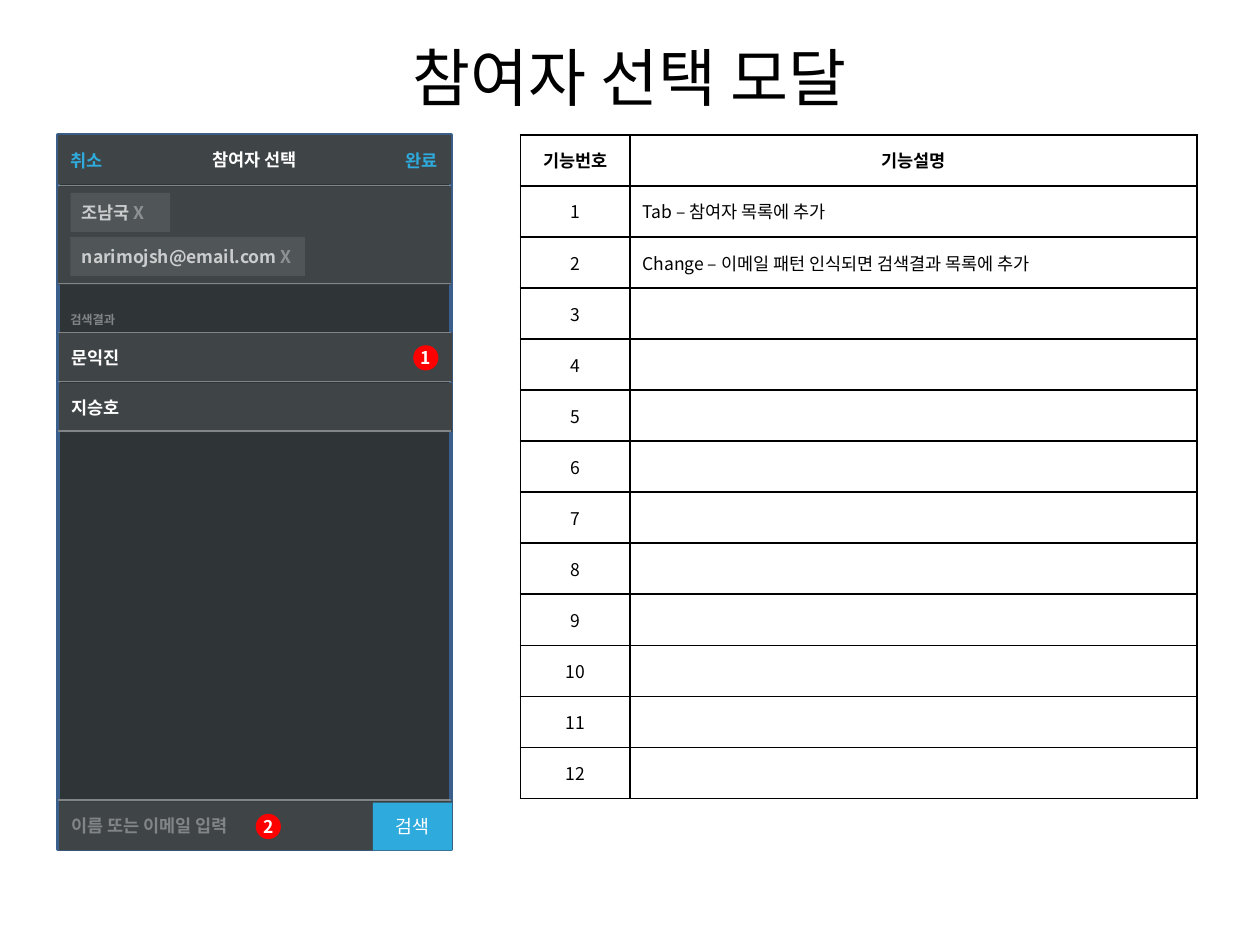
from dataclasses import dataclass

from lxml import etree
from pptx import Presentation
from pptx.dml.color import RGBColor
from pptx.enum.shapes import MSO_CONNECTOR, MSO_SHAPE
from pptx.enum.text import MSO_ANCHOR, PP_ALIGN
from pptx.oxml.ns import qn
from pptx.util import Inches, Pt

RECT, OVAL = MSO_SHAPE.RECTANGLE, MSO_SHAPE.OVAL
LINE = MSO_CONNECTOR.STRAIGHT
LEFT, MID = PP_ALIGN.LEFT, PP_ALIGN.CENTER
CENTER = MSO_ANCHOR.MIDDLE
FONT = "Noto Sans CJK KR"
WHITE, BLACK, RED, BLUE = "FFFFFF", "000000", "FF0000", "2EAADC"
BODY, BAR, CHIP = "2F3437", "3F4447", "505558"
GRAY, PALE, DIM = "828587", "CBCCCD", "8E9193"
EDGE = "3A5F8C"
PANEL_X, PANEL_W, BAR_H = 0.46, 3.12, 0.39


@dataclass
class Box:
    x: float
    y: float
    w: float
    h: float
    fill: str = ""
    text: str = ""
    color: str = WHITE
    size: float = 10
    bold: bool = True
    align: PP_ALIGN = LEFT
    kind: MSO_SHAPE = RECT
    inset: float = 0.1
    mark: str = ""
    edge: str = ""


def rgb(code: str) -> RGBColor:
    return RGBColor.from_string(code)


def style(para, size: float, color: str, bold: bool, align: PP_ALIGN) -> None:
    para.alignment = align
    font = para.font
    font.name, font.size, font.bold = FONT, Pt(size), bold
    font.color.rgb = rgb(color)
    etree.SubElement(font._element, qn("a:ea"), typeface=FONT)


def write(frame, box: Box) -> None:
    frame.word_wrap = True
    frame.vertical_anchor = CENTER
    frame.margin_left = frame.margin_right = Inches(box.inset)
    frame.margin_top = frame.margin_bottom = 0
    para = frame.paragraphs[0]
    style(para, box.size, box.color, box.bold, box.align)
    for text, color in ((box.text, box.color), (box.mark, DIM)):
        if text:
            run = para.add_run()
            run.text = text
            if box.mark:
                run.font.color.rgb = rgb(color)


def draw(slide, box: Box) -> None:
    area = [Inches(v) for v in (box.x, box.y, box.w, box.h)]
    if box.fill:
        shape = slide.shapes.add_shape(box.kind, *area)
        shape.shadow.inherit = False
        shape.fill.solid()
        shape.fill.fore_color.rgb = rgb(box.fill)
        if box.edge:
            shape.line.color.rgb = rgb(box.edge)
            shape.line.width = Pt(2)
        else:
            shape.line.fill.background()
    else:
        shape = slide.shapes.add_textbox(*area)
    if box.text:
        write(shape.text_frame, box)


def rule(slide, x: float, y: float) -> None:
    line = slide.shapes.add_connector(
        LINE, Inches(x), Inches(y), Inches(x + PANEL_W), Inches(y))
    line.line.color.rgb = rgb(GRAY)
    line.line.width = Pt(0.75)
    etree.SubElement(line._element.spPr, qn("a:effectLst"))


def border(cell) -> None:
    props = cell._tc.get_or_add_tcPr()
    for spot, side in enumerate(("lnL", "lnR", "lnT", "lnB")):
        line = etree.Element(qn(f"a:{side}"), w=str(Pt(1)))
        fill = etree.SubElement(line, qn("a:solidFill"))
        etree.SubElement(fill, qn("a:srgbClr"), val=BLACK)
        props.insert(spot, line)


def grid(slide, rows: list[tuple[str, str]]) -> None:
    frame = slide.shapes.add_table(
        len(rows), 2, Inches(4.13), Inches(1.07), Inches(5.37), Inches(5.27))
    table = frame.table
    table.first_row = table.horz_banding = False
    for col, width in zip(table.columns, (0.87, 4.5)):
        col.width = Inches(width)
    for r, texts in enumerate(rows):
        for c, text in enumerate(texts):
            cell = table.cell(r, c)
            cell.fill.solid()
            cell.fill.fore_color.rgb = rgb(WHITE)
            border(cell)
            cell.vertical_anchor = CENTER
            cell.margin_top = cell.margin_bottom = 0
            para = cell.text_frame.paragraphs[0]
            style(para, 10, BLACK, r == 0, LEFT if r and c else MID)
            if text:
                para.add_run().text = text


def badge(x: float, y: float, text: str) -> Box:
    return Box(x, y, 0.2, 0.2, RED, text, align=MID, kind=OVAL, inset=0)


def bar(y: float, text: str, color: str = WHITE, align: PP_ALIGN = LEFT,
        x: float = PANEL_X + 0.01) -> Box:
    return Box(x, y, PANEL_W, BAR_H, BAR, text, color, align=align)


def chip(y: float, w: float, text: str) -> Box:
    return Box(0.56, y, w, 0.31, CHIP, text, PALE, inset=0.09, mark="X")


deck = Presentation()
deck.slide_width, deck.slide_height = Inches(10), Inches(7.5)
slide = deck.slides.add_slide(deck.slide_layouts[6])

notes = {
    1: "Tab – 참여자 목록에 추가",
    2: "Change – 이메일 패턴 인식되면 검색결과 목록에 추가",
}
head = [("기능번호", "기능설명")]
grid(slide, head + [(str(n), notes.get(n, "")) for n in range(1, 13)])

boxes = [
    Box(0.5, 0.3, 9, 0.61, "", "참여자 선택 모달", BLACK, 36, False, MID),
    Box(PANEL_X, 1.07, PANEL_W, 5.67, BODY, edge=EDGE),
    bar(1.07, "참여자 선택", align=MID, x=PANEL_X),
    Box(3.12, 1.12, 0.56, 0.31, "", "완료", BLUE),
    Box(PANEL_X, 1.12, 0.56, 0.31, "", "취소", BLUE),
    bar(6.36, "이름 또는 이메일 입력", GRAY),
    Box(2.96, 6.37, 0.63, 0.38, BLUE, "검색", size=10.5, bold=False, align=MID),
    Box(PANEL_X, 1.48, PANEL_W, 0.78, BAR),
    chip(1.53, 0.79, "조남국 "),
    chip(1.88, 1.86, "narimojsh@email.com "),
    bar(2.64, "문익진"),
    bar(3.04, "지승호"),
    Box(PANEL_X, 2.44, 0.63, 0.2, "", "검색결과", GRAY, 7),
    badge(2.03, 6.46, "2"),
    badge(3.28, 2.74, "1"),
]
for box in boxes:
    draw(slide, box)
for y in (1.47, 2.25, 2.64, 3.03, 3.42, 6.35):
    rule(slide, PANEL_X, y)

deck.save("out.pptx")
